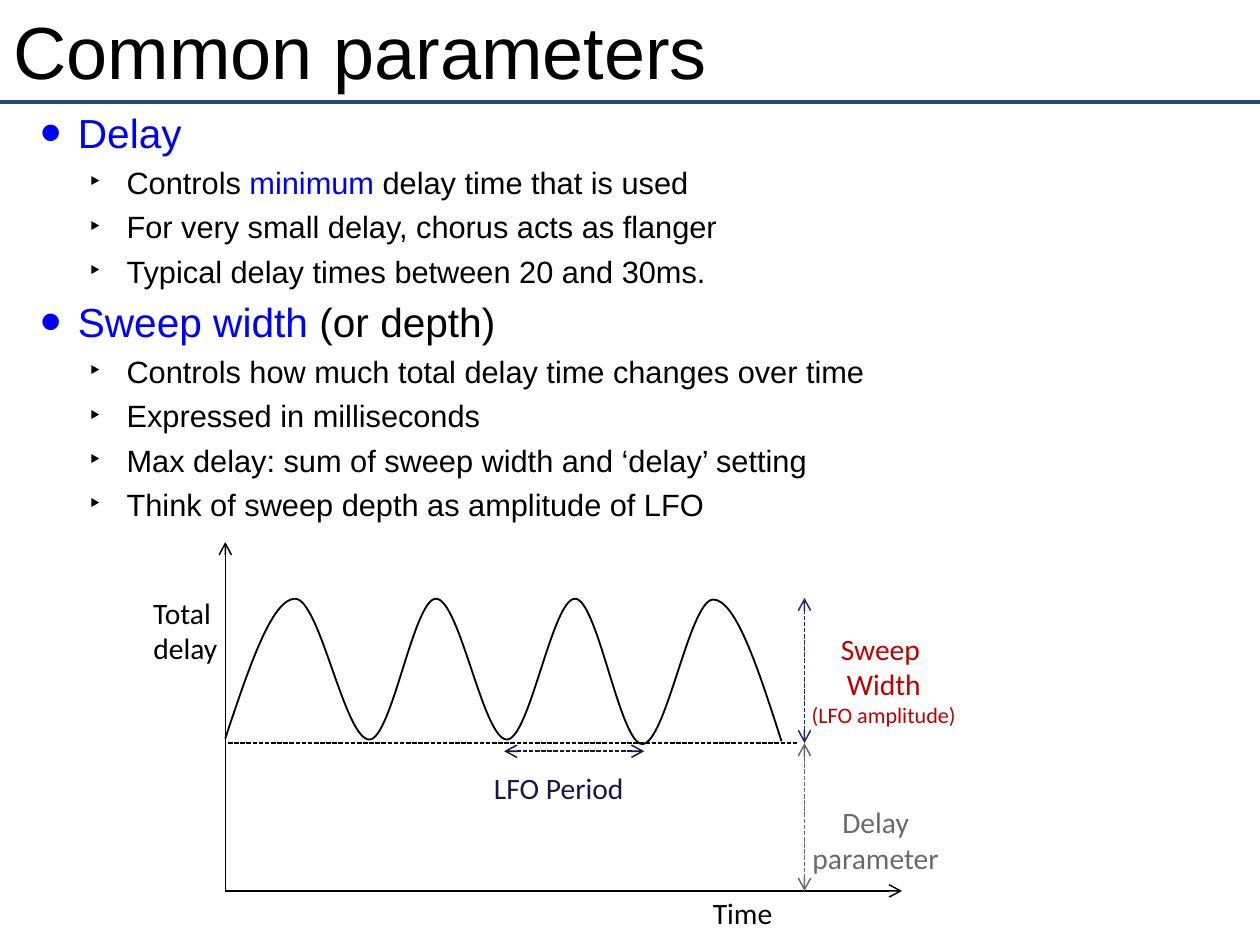
"""Build a slide on the delay and sweep width parameters of a chorus effect."""
from lxml import etree
from pptx import Presentation
from pptx import util as u
from pptx.dml.color import RGBColor
from pptx.enum import dml, text
from pptx.enum.shapes import MSO_CONNECTOR
from pptx.oxml.ns import qn

WIDTH, HEIGHT = u.Inches(14.22), u.Inches(10.67)
COLORS = {
    "black": "000000", "blue": "0000FF", "rule": "254789", "grey": "6A6A6A",
    "red": "C00000", "sweep": "262673", "navy": "171745",
}
BULLETS = [("•", 150, 0.7, 33), ("‣", 100, 1.25, 25)]
POINTS = [
    (0, [("Delay", "blue")]),
    (1, [("Controls ", "black"), ("minimum", "blue"),
         (" delay time that is used", "black")]),
    (1, [("For very small delay, chorus acts as flanger", "black")]),
    (1, [("Typical delay times between 20 and 30ms.", "black")]),
    (0, [("Sweep width", "blue"), (" (or depth)", "black")]),
    (1, [("Controls how much total delay time changes over time", "black")]),
    (1, [("Expressed in milliseconds", "black")]),
    (1, [("Max delay: sum of sweep width and ‘delay’ setting", "black")]),
    (1, [("Think of sweep depth as amplitude of LFO", "black")]),
]
AXIS_X, AXIS_Y, BASELINE, CREST, SPAN_X, PERIOD_Y = 17.88, 94.28, 78.64, 63.26, 63.85, 79.5
TURNS = [
    (AXIS_X, 78.16), (23.42, 63.36), (29.32, 78.26), (34.6, 63.36), (40.23, 78.26),
    (45.64, 63.36), (50.98, 78.73), (56.61, 63.45), (62.03, 78.44),
]
LABELS = [
    ((11.46, 62.51, 6.5, 8.53), "black", [("Total ", 24), ("delay", 24)]),
    ((63.78, 84.63, 11.43, 8.53), "grey", [("Delay", 24), ("parameter", 24)]),
    ((63.71, 66.26, 12.86, 11.34), "red",
     [("Sweep ", 24), ("Width", 24), ("(LFO amplitude)", 18)]),
    ((55.84, AXIS_Y, 6.19, 4.69), "black", [("Time", 24)]),
    ((38.47, 80.97, 11.75, 4.69), "navy", [("LFO Period", 24)]),
]


def at(x, y):
    """Turn percentages of the slide's width and height into lengths."""
    return round(WIDTH * x / 100), round(HEIGHT * y / 100)


def color(name):
    """Look up a named colour."""
    return RGBColor.from_string(COLORS[name])


def add_run(paragraph, words, size, tint, face="Arial"):
    """Append one formatted run."""
    run = paragraph.add_run()
    run.text = words
    run.font.size, run.font.name = u.Pt(size), face
    run.font.color.rgb = color(tint)


def set_margins(frame):
    """Give a text frame narrow, equal insets."""
    frame.margin_left = frame.margin_right = u.Inches(0.06)
    frame.margin_top = frame.margin_bottom = u.Inches(0.06)


def next_paragraph(frame, index):
    """Return the first paragraph, or add a further one."""
    return frame.add_paragraph() if index else frame.paragraphs[0]


def add_title(slide, words):
    """Place and format the title."""
    title = slide.shapes.title
    title.left, title.top = at(0.64, 0.56)
    title.width, title.height = at(98.52, 9.47)
    frame = title.text_frame
    set_margins(frame)
    frame.auto_size = text.MSO_AUTO_SIZE.NONE
    frame.vertical_anchor = text.MSO_ANCHOR.MIDDLE
    frame.paragraphs[0].alignment = text.PP_ALIGN.LEFT
    add_run(frame.paragraphs[0], words, 60, "black")


def add_bullet(paragraph, level):
    """Give a paragraph the bullet and indent of its level."""
    mark, percent, indent, _ = BULLETS[level]
    paragraph.level = level
    props = paragraph._p.get_or_add_pPr()
    props.set("marL", str(u.Inches(indent)))
    props.set("indent", str(u.Inches(-0.42)))
    etree.SubElement(props, qn("a:buSzPct"), val=str(percent * 1000))
    etree.SubElement(props, qn("a:buFont"), typeface="Arial")
    etree.SubElement(props, qn("a:buChar"), char=mark)


def add_points(slide):
    """Write the two-level bullet list."""
    frame = slide.shapes.add_textbox(*at(0.84, 10.85), *at(98.52, 55.76)).text_frame
    frame.word_wrap = True
    set_margins(frame)
    for index, (level, runs) in enumerate(POINTS):
        point = next_paragraph(frame, index)
        add_bullet(point, level)
        if index:
            point.space_before = u.Pt(6)
        for words, tint in runs:
            add_run(point, words, BULLETS[level][3], tint)


def add_line(slide, start, end, tint, width=1.25, dashed=False, arrows=()):
    """Draw a straight line with optional dashes and arrowheads."""
    line = slide.shapes.add_connector(MSO_CONNECTOR.STRAIGHT, *at(*start), *at(*end))
    line.line.color.rgb = color(tint)
    line.line.width = u.Pt(width)
    if dashed:
        line.line.dash_style = dml.MSO_LINE.SQUARE_DOT
    for side in arrows:
        etree.SubElement(line.line._get_or_add_ln(), qn(f"a:{side}End"),
                         type="arrow", w="lg", len="lg")
    etree.SubElement(line._element.spPr, qn("a:effectLst"))


def bend(wave):
    """Turn straight half waves into curves, flat at each inner turn."""
    outline = wave._element.spPr.find(".//" + qn("a:path"))
    ends = [(int(pt.get("x")), int(pt.get("y"))) for pt in outline.iter(qn("a:pt"))]
    segments = outline.findall(qn("a:lnTo"))
    for index, segment in enumerate(segments):
        (x0, y0), (x1, y1) = ends[index:index + 2]
        middle = (y0 + y1) // 2
        leave = middle if index == 0 else y0
        arrive = middle if index == len(segments) - 1 else y1
        third = (x1 - x0) // 3
        curve = etree.Element(qn("a:cubicBezTo"))
        for x, y in [(x0 + third, leave), (x1 - third, arrive), (x1, y1)]:
            etree.SubElement(curve, qn("a:pt"), x=str(x), y=str(y))
        outline.replace(segment, curve)


def add_wave(slide):
    """Draw the LFO curve."""
    start, *others = [at(*turn) for turn in TURNS]
    builder = slide.shapes.build_freeform(*start)
    builder.add_line_segments(others, close=False)
    wave = builder.convert_to_shape()
    bend(wave)
    wave.shadow.inherit = False
    wave.fill.background()
    wave.line.color.rgb = color("black")
    wave.line.width = u.Pt(1.5)


def add_label(slide, box, tint, lines):
    """Write a centred diagram label."""
    frame = slide.shapes.add_textbox(*at(*box[:2]), *at(*box[2:])).text_frame
    frame.word_wrap = False
    frame.auto_size = text.MSO_AUTO_SIZE.SHAPE_TO_FIT_TEXT
    for index, (words, size) in enumerate(lines):
        paragraph = next_paragraph(frame, index)
        paragraph.alignment = text.PP_ALIGN.CENTER
        add_run(paragraph, words, size, tint, "Calibri")


def add_diagram(slide):
    """Draw the total delay over time with its measures."""
    origin, both = (AXIS_X, AXIS_Y), ("head", "tail")
    add_wave(slide)
    add_line(slide, (AXIS_X, 57.36), origin, "black", arrows=["head"])
    add_line(slide, (71.59, AXIS_Y), origin, "black", arrows=["head"])
    add_line(slide, (63.29, BASELINE), (AXIS_X, BASELINE), "black", dashed=True)
    for start, end, tint in [
        ((SPAN_X, AXIS_Y), (SPAN_X, BASELINE), "grey"),
        ((SPAN_X, BASELINE), (SPAN_X, CREST), "sweep"),
        ((51.13, PERIOD_Y), (40.01, PERIOD_Y), "navy"),
    ]:
        add_line(slide, start, end, tint, dashed=True, arrows=both)
    for label in LABELS:
        add_label(slide, *label)


def main():
    """Assemble and save the slide."""
    deck = Presentation()
    deck.slide_width, deck.slide_height = WIDTH, HEIGHT
    slide = deck.slides.add_slide(deck.slide_layouts[5])
    add_line(slide, (0, 10.78), (100, 10.78), "rule", width=3)
    add_title(slide, "Common parameters")
    add_points(slide)
    add_diagram(slide)
    deck.save("out.pptx")


if __name__ == "__main__":
    main()
